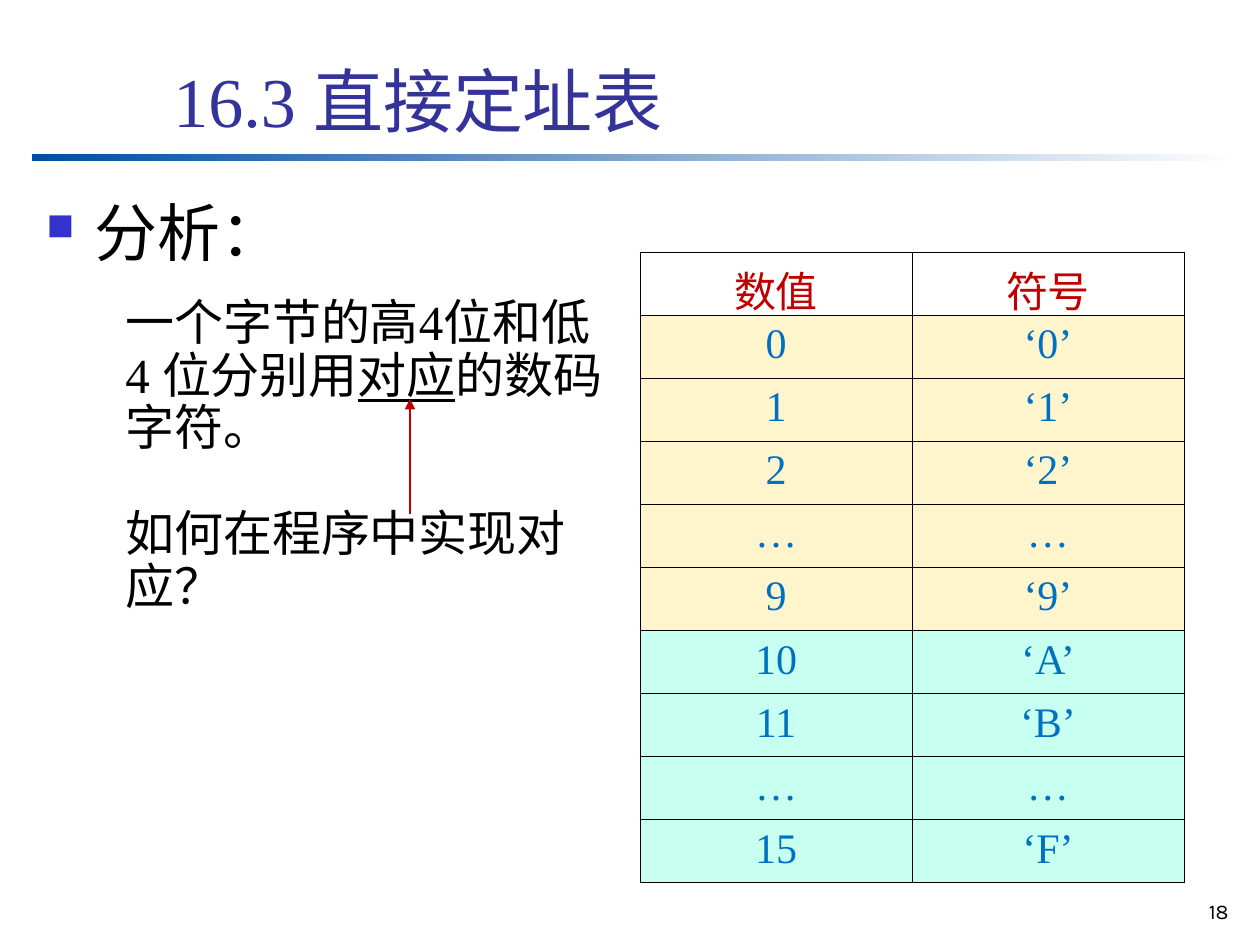
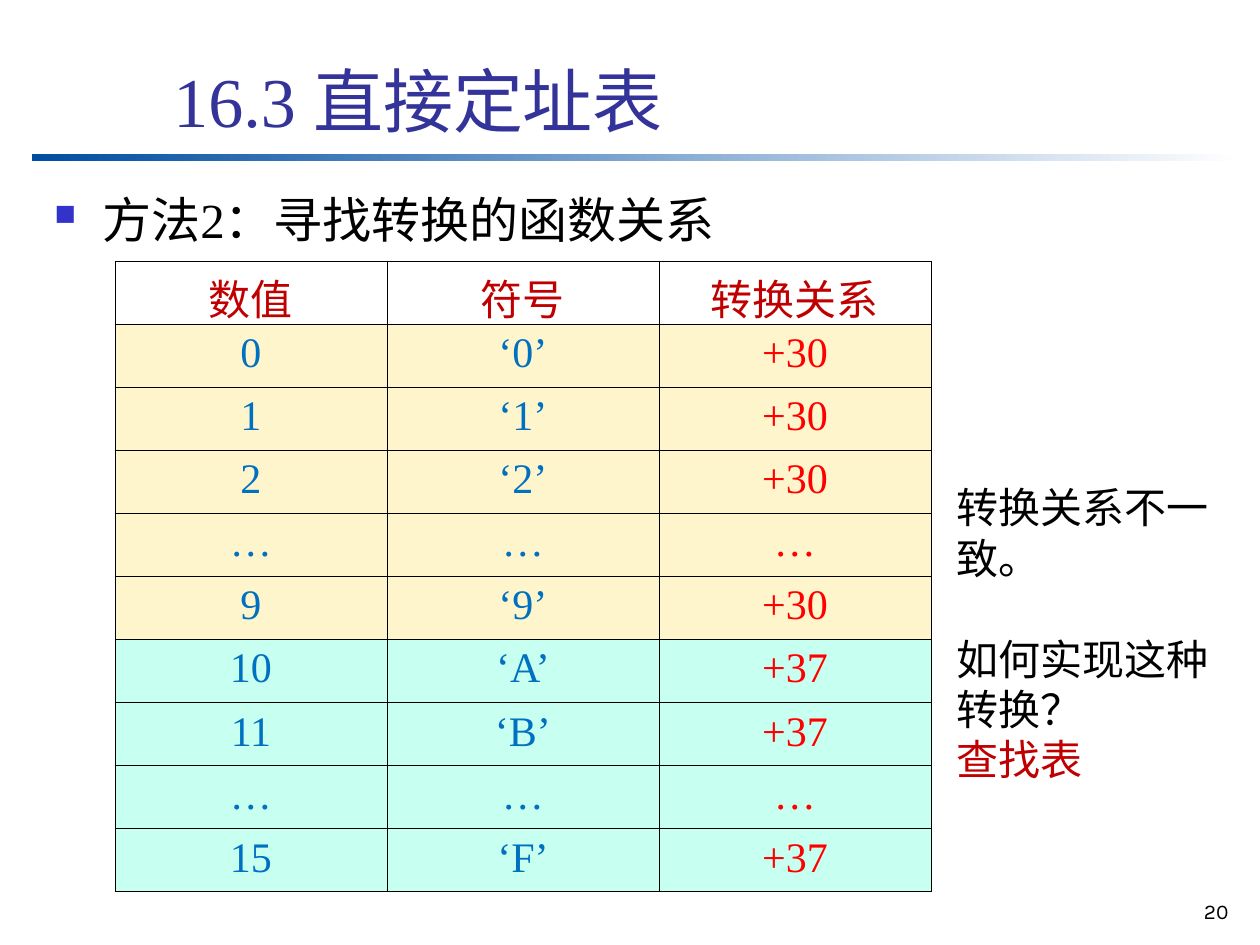
"""Build two slides on direct address tables."""
from lxml.etree import SubElement
from pptx import Presentation
from pptx.dml.color import RGBColor
from pptx.enum.lang import MSO_LANGUAGE_ID
from pptx.enum.shapes import MSO_CONNECTOR, MSO_SHAPE
from pptx.enum.text import MSO_ANCHOR, PP_ALIGN
from pptx.oxml.ns import qn
from pptx.util import Emu, Pt

PX_PER_INCH = 126
SERIF = "Times New Roman"
HAN = "Noto Sans CJK SC"
NUMBER_FONT = "Karla"
BLACK = RGBColor(0x00, 0x00, 0x00)
WHITE = RGBColor(0xFF, 0xFF, 0xFF)
TITLE_BLUE = RGBColor(0x33, 0x33, 0x99)
BAND_BLUE = RGBColor(0x00, 0x4E, 0xA2)
BULLET_BLUE = RGBColor(0x33, 0x33, 0xCC)
VALUE_BLUE = RGBColor(0x00, 0x70, 0xC0)
DARK_RED = RGBColor(0xC0, 0x00, 0x00)
RED = RGBColor(0xFF, 0x00, 0x00)
CREAM = RGBColor(0xFF, 0xF5, 0xCC)
MINT = RGBColor(0xC7, 0xFF, 0xF0)

DIGITS = ["0", "1", "2", "…", "9"]
LETTERS = [("10", "A"), ("11", "B"), ("…", "…"), ("15", "F")]
COLUMN_WIDTH = 272
ROW_HEIGHT = 63


def px(length):
    """Turn whole pixels into EMU."""
    return Emu(round(length * 914400 / PX_PER_INCH))


def add_span(para, text, size=24, font=SERIF, han=HAN, color=BLACK, underline=None):
    """Add one formatted run to a paragraph."""
    span = para.add_run()
    span.text = text
    span.font.size = Pt(size)
    span.font.color.rgb = color
    span.font.underline = underline
    span.font.language_id = MSO_LANGUAGE_ID.SIMPLIFIED_CHINESE
    span.font.name = font
    SubElement(span.font._element, qn("a:ea"), typeface=han)


def add_box(page, left, top, width, height, top_inset=6, bottom_inset=6,
            anchor=MSO_ANCHOR.TOP):
    """Add an empty wrapping text box and return its frame."""
    frame = page.shapes.add_textbox(px(left), px(top), px(width), px(height)).text_frame
    frame.word_wrap = True
    frame.margin_top, frame.margin_bottom = px(top_inset), px(bottom_inset)
    frame.vertical_anchor = anchor
    return frame


def add_paragraph(frame, spans, line=None, before=None, align=None, **style):
    """Fill the first paragraph or append one, from (text, format) pairs."""
    fresh = not frame.paragraphs[0].runs
    para = frame.paragraphs[0] if fresh else frame.add_paragraph()
    para.alignment = align
    if line:
        para.line_spacing = Pt(line)
    if before:
        para.space_before = Pt(before)
    for text, changes in spans:
        add_span(para, text, **{**style, **changes})
    return para


def add_bullet(para):
    """Give a paragraph the square bullet and hanging indent."""
    properties = para._p.get_or_add_pPr()
    properties.set("marL", str(px(48)))
    properties.set("indent", str(px(-48)))
    color = SubElement(properties, qn("a:buClr"))
    SubElement(color, qn("a:srgbClr"), val=str(BULLET_BLUE))
    SubElement(properties, qn("a:buSzPct"), val="60000")
    SubElement(properties, qn("a:buChar"), char="■")


def add_heading(page, text, left, top, size, line):
    """Add the bulleted heading below the band."""
    frame = add_box(page, left, top, 1192, 714)
    add_bullet(add_paragraph(frame, [(text, {})], size=size, line=line))


def add_band(page):
    """Add the fading band below the title."""
    band = page.shapes.add_shape(MSO_SHAPE.RECTANGLE, px(32), px(154), px(1210), px(7))
    band.shadow.inherit = False
    band.line.fill.background()
    band.fill.gradient()
    band.fill.gradient_angle = 0
    for stop, color in zip(band.fill.gradient_stops, (BAND_BLUE, WHITE)):
        stop.color.rgb = color


def add_page(deck, number):
    """Add a blank page with the shared band, page number and title."""
    page = deck.slides.add_slide(deck.slide_layouts[6])
    page.background.fill.solid()
    page.background.fill.fore_color.rgb = WHITE
    add_band(page)
    add_paragraph(add_box(page, 1157, 892, 84, 42), [(str(number), {})],
                  size=12, font=NUMBER_FONT, align=PP_ALIGN.RIGHT)
    title = add_box(page, 161, 23, 1074, 118, bottom_inset=0, anchor=MSO_ANCHOR.BOTTOM)
    add_paragraph(title, [("16.3 直接定址表", {})], size=40, color=TITLE_BLUE)
    return page


def set_borders(cell):
    """Draw a thin black line on each side of a cell."""
    properties = cell._tc.get_or_add_tcPr()
    for index, side in enumerate(("lnL", "lnR", "lnT", "lnB")):
        border = properties.makeelement(qn("a:" + side), {"w": str(Pt(0.45))})
        fill = SubElement(border, qn("a:solidFill"))
        SubElement(fill, qn("a:srgbClr"), val=str(BLACK))
        properties.insert(index, border)


def add_code_table(page, left, top, headers, rows):
    """Add the table of values, symbols and optional conversions."""
    frame = page.shapes.add_table(
        len(rows) + 1, len(headers), px(left), px(top),
        px(COLUMN_WIDTH * len(headers)), px(ROW_HEIGHT * (len(rows) + 1)))
    table = frame.table
    table.first_row = table.horz_banding = False
    for column in table.columns:
        column.width = px(COLUMN_WIDTH)
    for row in table.rows:
        row.height = px(ROW_HEIGHT)
    for row_index, texts in enumerate([headers, *rows]):
        for column_index, text in enumerate(texts):
            cell = table.cell(row_index, column_index)
            if row_index == 0:
                cell.fill.background()
                color, han = DARK_RED, HAN
            else:
                cell.fill.solid()
                cell.fill.fore_color.rgb = CREAM if row_index <= len(DIGITS) else MINT
                color, han = RED if column_index == 2 else VALUE_BLUE, SERIF
            set_borders(cell)
            add_paragraph(cell.text_frame, [(text, {})], align=PP_ALIGN.CENTER,
                          color=color, han=han)


def add_arrow(page, start, end):
    """Add a thin red arrow between two points."""
    arrow = page.shapes.add_connector(MSO_CONNECTOR.STRAIGHT, *map(px, start + end))
    arrow.line.color.rgb = DARK_RED
    arrow.line.width = Pt(0.75)
    SubElement(arrow.line._get_or_add_ln(), qn("a:tailEnd"), type="triangle")
    SubElement(arrow._element.spPr, qn("a:effectLst"))


def code_rows(with_conversion=False):
    """Return the table rows, with the offset of each if wanted."""
    pairs = [(digit, digit, "+30") for digit in DIGITS]
    pairs += [(value, symbol, "+37") for value, symbol in LETTERS]
    rows = []
    for value, symbol, offset in pairs:
        gap = value == "…"
        row = [value, "…" if gap else f"‘{symbol}’", "…" if gap else offset]
        rows.append(row if with_conversion else row[:2])
    return rows


def add_analysis_page(deck):
    """Add the page that states the problem."""
    page = add_page(deck, 18)
    add_heading(page, "分析：", 34, 190, size=36, line=42)
    add_code_table(page, 640, 252, ["数值", "符号"], code_rows())
    frame = add_box(page, 113, 287, 514, 330, top_inset=10, bottom_inset=2)
    style = {"size": 28, "line": 30.24}
    add_paragraph(frame, [("一个字节的高4位和低4 位分别用", {}),
                          ("对应", {"underline": True}),
                          ("的数码字符。", {})], **style)
    add_paragraph(frame, [("如何在程序中实现对应？", {})], before=30.24, **style)
    add_arrow(page, (410, 514), (410, 399))


def add_method_page(deck):
    """Add the page that looks for a conversion rule."""
    page = add_page(deck, 20)
    add_heading(page, "方法2：寻找转换的函数关系", 42, 179, size=28, line=36)
    add_code_table(page, 115, 261, ["数值", "符号", "转换关系"], code_rows(True))
    frame = add_box(page, 944, 472, 280, 315, top_inset=10, bottom_inset=2)
    style = {"font": HAN, "line": 28.8}
    add_paragraph(frame, [("转换关系不一致。", {})], **style)
    add_paragraph(frame, [("如何实现这种转换？", {})], before=28.8, **style)
    add_paragraph(frame, [("查找表", {})], color=DARK_RED, **style)


def main():
    """Build and save the deck."""
    deck = Presentation()
    deck.slide_width, deck.slide_height = px(1260), px(945)
    add_analysis_page(deck)
    add_method_page(deck)
    deck.save("out.pptx")


if __name__ == "__main__":
    main()
